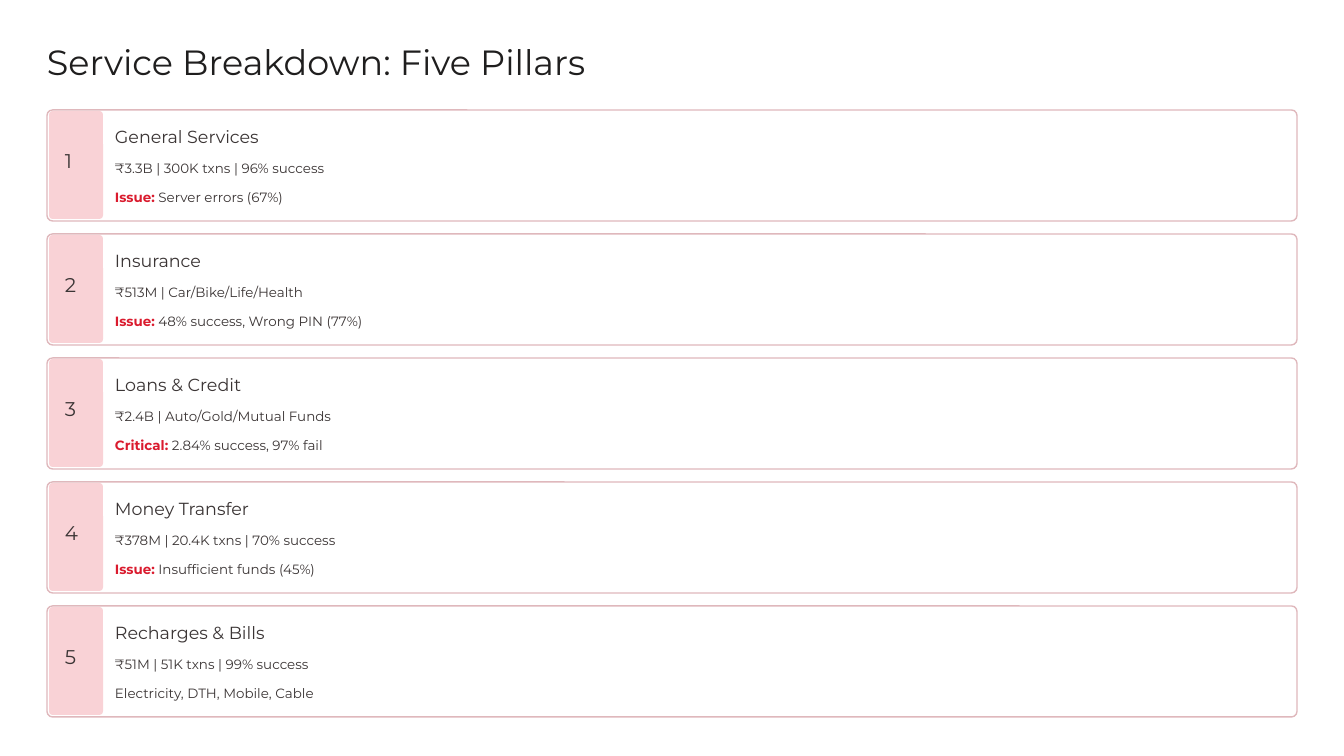
import pptx
import pptx.dml.color
import pptx.enum.shapes
import pptx.enum.text
import pptx.util

TITLE = "Service Breakdown: Five Pillars"
PILLARS = [
    ("General Services", "₹3.3B | 300K txns | 96% success", "Issue:", " Server errors (67%)"),
    ("Insurance", "₹513M | Car/Bike/Life/Health", "Issue:", " 48% success, Wrong PIN (77%)"),
    ("Loans & Credit", "₹2.4B | Auto/Gold/Mutual Funds", "Critical:", " 2.84% success, 97% fail"),
    ("Money Transfer", "₹378M | 20.4K txns | 70% success", "Issue:", " Insufficient funds (45%)"),
    ("Recharges & Bills", "₹51M | 51K txns | 99% success", "", "Electricity, DTH, Mobile, Cable"),
]

COLORS = {"title": "1F1E1E", "text": "3B3535", "alert": "DA1B2E",
          "card": "FFFFFF", "border": "DFB8BC", "band": "F9D2D6"}
FONT = "Montserrat"
STYLES = {"title": (30, 37.5), "number": (17, 17), "heading": (15, 18.5), "detail": (11.5, 18)}
FRAME = {"margin_left": 0, "margin_top": 0, "margin_right": 0, "margin_bottom": 0,
         "word_wrap": True,
         "auto_size": pptx.enum.text.MSO_AUTO_SIZE.NONE,
         "vertical_anchor": pptx.enum.text.MSO_ANCHOR.TOP}

PX = pptx.util.Inches(1) // 84
CARD_TOP, CARD_PITCH = 110, 124
TEXT_LEFT, DETAIL_WIDTH, LINE_HEIGHT = 115, 1167, 22


def color(name):
    return pptx.dml.color.RGBColor.from_string(COLORS[name])


def set_all(target, values):
    for name, value in values.items():
        setattr(target, name, value)


def write(box, style, *runs):
    size, spacing = STYLES[style]
    set_all(box.text_frame, FRAME)
    paragraph = box.text_frame.paragraphs[0]
    set_all(paragraph, {"alignment": pptx.enum.text.PP_ALIGN.LEFT,
                        "line_spacing": pptx.util.Pt(spacing)})
    for text, tone in runs:
        if text:
            run = paragraph.add_run()
            run.text = text
            set_all(run.font, {"name": FONT, "size": pptx.util.Pt(size), "bold": tone == "alert"})
            run.font.color.rgb = color(tone)


def add_text(slide, place, style, *runs):
    write(slide.shapes.add_textbox(*(n * PX for n in place)), style, *runs)


def add_panel(slide, place, fill, rounding, border=None):
    panel = slide.shapes.add_shape(pptx.enum.shapes.MSO_SHAPE.ROUNDED_RECTANGLE,
                                   *(n * PX for n in place))
    panel.shadow.inherit = False
    panel.adjustments[0] = rounding
    panel.fill.solid()
    panel.fill.fore_color.rgb = color(fill)
    if border:
        panel.line.color.rgb = color(border)
        panel.line.width = pptx.util.Pt(1.2)
    else:
        panel.line.fill.background()


def add_pillar(slide, index, pillar):
    heading, detail, label, note = pillar
    top = CARD_TOP + index * CARD_PITCH
    add_panel(slide, (47, top, 1250, 111), "card", 0.05, "border")
    add_panel(slide, (49, top + 1, 54, 108), "band", 0.07)
    add_text(slide, (65, top + 43, 20, 25), "number", (str(index + 1), "text"))
    add_text(slide, (TEXT_LEFT, top + 15, 176, LINE_HEIGHT), "heading", (heading, "text"))
    add_text(slide, (TEXT_LEFT, top + 45, DETAIL_WIDTH, LINE_HEIGHT), "detail", (detail, "text"))
    add_text(slide, (TEXT_LEFT, top + 74, DETAIL_WIDTH, LINE_HEIGHT), "detail",
             (label, "alert"), (note, "text"))


def main():
    deck = pptx.Presentation()
    deck.slide_width, deck.slide_height = 1344 * PX, 756 * PX
    slide = deck.slides.add_slide(deck.slide_layouts[5])
    title = slide.shapes.title
    set_all(title, {"left": 47 * PX, "top": 39 * PX, "width": 559 * PX, "height": 45 * PX})
    write(title, "title", (TITLE, "title"))
    for index, pillar in enumerate(PILLARS):
        add_pillar(slide, index, pillar)
    deck.save("out.pptx")


if __name__ == "__main__":
    main()
